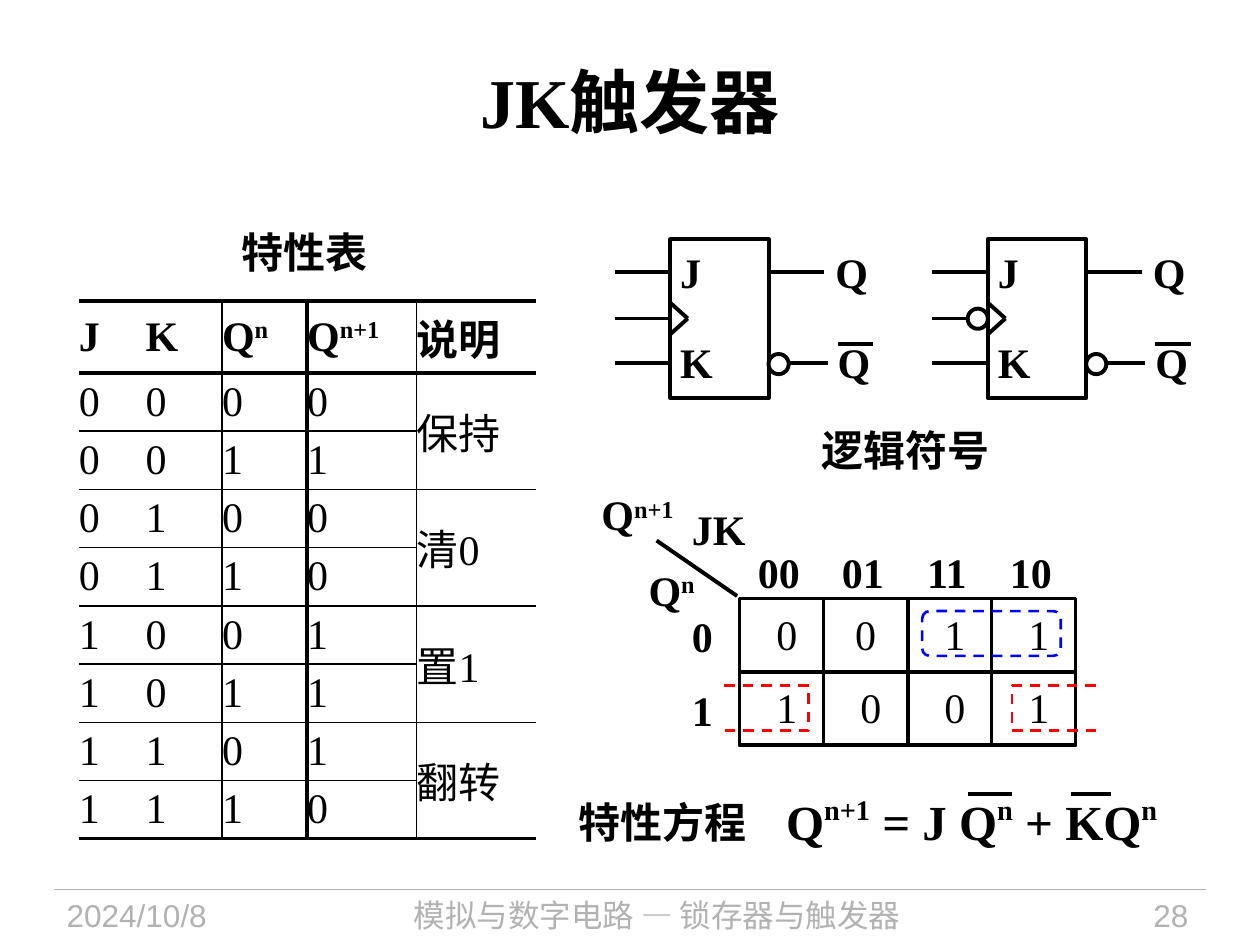
"""Build the JK flip-flop slide: truth table, logic symbols, Karnaugh map and equation."""
from lxml import etree
from pptx import Presentation
from pptx.dml.color import RGBColor
from pptx.enum import dml, shapes, text
from pptx.oxml import ns
from pptx.util import Pt

SERIF, SANS, CJK = "Times New Roman", "Arial", "Noto Sans CJK SC"
BLACK, GREY, BLUE, RED, WHITE = "000000", "B2B2B2", "0000FF", "FF0000", "FFFFFF"
LEFT, CENTER, RIGHT = text.PP_ALIGN.LEFT, text.PP_ALIGN.CENTER, text.PP_ALIGN.RIGHT
SHAPE = shapes.MSO_SHAPE
THIN, THICK = 1, 2.25

TITLE = "JK触发器"
HEADER = ["J", "K", "Q^n", "Q^n+1", "说明"]
STATES = ["0000", "0011", "0100", "0110", "1001", "1011", "1101", "1110"]
ACTIONS = ["保持", "清0", "置1", "翻转"]
COLUMN_WIDTHS = [38.1, 43.7, 48.6, 62.6, 68.3]
HEADER_HEIGHT, ROW_HEIGHT = 41, 33.3
COLUMN_EDGES = [None, None, THIN, THICK, THIN, None]

HEADINGS = [
    ("特性表", (124, 126, 100, 36)),
    ("逻辑符号", (450.7, 239, 133.2, 36)),
]
SYMBOLS = [(383, False), (564.5, True)]
MAP_X, MAP_Y, CELL_W, CELL_H = 422.6, 342, 48, 42
MAP_COLUMNS = ["00", "01", "11", "10"]
MAP_ROWS = [("0", [("0", 3), ("0", 0), ("1", 3), ("1", 3)]),
            ("1", [("1", 3), ("0", 3), ("0", 3), ("1", 3)])]
MAP_CORNER = [("JK", (388, 284.4, 45.4, 36)), ("Q^n", (362.9, 319, 41.8, 36)),
              ("Q^n+1", (334.8, 275.8, 59, 36))]
MAP_LOOPS = [(SHAPE.ROUNDED_RECTANGLE, (527, 349.2, 79.2, 25.6), BLUE, 0.167, 0),
             (SHAPE.RIGHT_BRACKET, (414, 391.7, 48.2, 25.6), RED, 0, 0),
             (SHAPE.RIGHT_BRACKET, (578.2, 391.7, 48.2, 25.6), RED, 0, 180)]
EQUATION = "Q^n+1^ = J Q^n^ + KQ^n"
EQUATION_BARS = [(553, 578.2), (612, 635)]
FOOTERS = [
    ("2024/10/8", (31, 508.3, 135, 31.7), SANS, LEFT),
    ("模拟与数字电路 — 锁存器与触发器", (172.8, 508.3, 405.4, 31.7), CJK, CENTER),
    ("28", (590.4, 508.3, 95.8, 31.7), SANS, RIGHT),
]


def rgb(value):
    """Turn a hex string into a colour."""
    return RGBColor.from_string(value)


def write(tf, words, size=24, font=SERIF, color=BLACK, bold=True, align=CENTER, raised=30):
    """Write one paragraph in which carets switch superscript on and off."""
    p = tf.paragraphs[0]
    p.alignment = align
    for i, piece in enumerate(words.split("^")):
        r = p.add_run()
        r.text = piece
        r.font.size, r.font.bold = Pt(size), bold
        r.font.color.rgb = rgb(color)
        r.font.name = font
        props = r._r.get_or_add_rPr()
        etree.SubElement(props, ns.qn("a:ea")).set("typeface", CJK)
        if i % 2:
            props.set("baseline", str(raised * 1000))


def label(s, words, box, wrap=False, **style):
    """Add a text box."""
    tf = s.shapes.add_textbox(*map(Pt, box)).text_frame
    tf.word_wrap = wrap
    write(tf, words, **style)


def line(s, x1, y1, x2, y2, color=BLACK, width=THICK):
    """Add a straight line without shadow."""
    c = s.shapes.add_connector(shapes.MSO_CONNECTOR.STRAIGHT, *map(Pt, (x1, y1, x2, y2)))
    c.line.color.rgb, c.line.width = rgb(color), Pt(width)
    etree.SubElement(c._element.spPr, ns.qn("a:effectLst"))


def outline(s, kind, box, color=BLACK, width=THICK, fill=None):
    """Add an outlined shape and return it."""
    sp = s.shapes.add_shape(kind, *map(Pt, box))
    sp.shadow.inherit = False
    sp.line.color.rgb, sp.line.width = rgb(color), Pt(width)
    if fill:
        sp.fill.solid()
        sp.fill.fore_color.rgb = rgb(fill)
    else:
        sp.fill.background()
    return sp


def set_borders(cell, **widths):
    """Set the cell's borders, where None hides one."""
    props = cell._tc.get_or_add_tcPr()
    for i, side in enumerate("LRTB"):
        width = widths[side]
        ln = etree.Element(ns.qn("a:ln" + side))
        props.insert(i, ln)
        if width is None:
            etree.SubElement(ln, ns.qn("a:noFill"))
        else:
            ln.set("w", str(Pt(width)))
            fill = etree.SubElement(ln, ns.qn("a:solidFill"))
            etree.SubElement(fill, ns.qn("a:srgbClr")).set("val", BLACK)


def draw_table(s):
    """Draw the characteristic table."""
    rows = [HEADER] + [[*bits, "" if i % 2 else ACTIONS[i // 2]] for i, bits in enumerate(STATES)]
    last = len(HEADER) - 1
    heights = [HEADER_HEIGHT] + [ROW_HEIGHT] * len(STATES)
    table = s.shapes.add_table(len(rows), len(HEADER), Pt(45.1), Pt(172.1),
                               Pt(sum(COLUMN_WIDTHS)), Pt(sum(heights))).table
    for column, width in zip(table.columns, COLUMN_WIDTHS):
        column.width = Pt(width)
    for row, height in zip(table.rows, heights):
        row.height = Pt(height)
    for top in range(1, len(rows), 2):
        table.cell(top, last).merge(table.cell(top + 1, last))
    for i, row in enumerate(rows):
        for j, words in enumerate(row):
            cell = table.cell(i, j)
            cell.fill.background()
            cell.margin_left = cell.margin_right = cell.margin_top = cell.margin_bottom = 0
            cell.vertical_anchor = text.MSO_ANCHOR.MIDDLE
            if words:
                write(cell.text_frame, words, bold=i == 0, align=LEFT)
            bottom = i + 2 if cell.is_merge_origin else i + 1
            edge = {n: THICK if n in (0, 1, len(rows)) else THIN for n in (i, bottom)}
            set_borders(cell, L=COLUMN_EDGES[j], R=COLUMN_EDGES[j + 1],
                        T=None if cell.is_spanned else edge[i], B=edge[bottom])


def draw_symbol(s, x, falling):
    """Draw one flip-flop symbol, with a bubble on a falling-edge clock."""
    j_y, clock_y, k_y, right = 155.5, 182, 207.4, x + 56.2
    outline(s, SHAPE.RECTANGLE, (x, 136.8, 56.2, 90.7))
    for y in (j_y, clock_y, k_y):
        line(s, x - 31.7, y, x, y)
    line(s, right, j_y, right + 31.7, j_y)
    line(s, right + 2, k_y, right + 33.7, k_y)
    for y in (clock_y - 9, clock_y + 9):
        line(s, x, y, x + 10, clock_y)
    line(s, x + 95.8, 196.6, x + 116, 196.6)
    for words, left, top in (("J", -1.4, 137.5), ("K", -1.4, 188.6)):
        label(s, words, (x + left, top, 28, 36), wrap=True, align=LEFT)
    for left, top in ((87.1, 137.5), (88.5, 188.6)):
        label(s, "Q", (x + left, top, 33.1, 36))
    bubbles = [(right, k_y - 5.1)] + [(x - 11.5, clock_y - 5.6)] * falling
    for left, top in bubbles:
        outline(s, SHAPE.OVAL, (left, top, 11.5, 11.5), fill=WHITE)


def draw_map(s):
    """Draw the Karnaugh map with its labels and loops."""
    width, height = CELL_W * len(MAP_COLUMNS), CELL_H * len(MAP_ROWS)
    outline(s, SHAPE.RECTANGLE, (MAP_X, MAP_Y, width, height))
    line(s, MAP_X, MAP_Y + CELL_H, MAP_X + width, MAP_Y + CELL_H)
    for j, words in enumerate(MAP_COLUMNS):
        x = MAP_X + j * CELL_W
        label(s, words, (x - 1.5, 308.5, CELL_W, 36))
        if j:
            line(s, x, MAP_Y, x, MAP_Y + height)
    for i, (name, values) in enumerate(MAP_ROWS):
        y = MAP_Y + i * CELL_H + 2
        label(s, name, (388, y + 1.5, 26.8, 36))
        for j, (value, nudge) in enumerate(values):
            label(s, value, (MAP_X + j * CELL_W + nudge, y, CELL_W, 36), bold=False)
    line(s, 375.2, 308.9, 421.2, 340.6)
    for words, box in MAP_CORNER:
        label(s, words, box)
    for kind, box, color, radius, turn in MAP_LOOPS:
        sp = outline(s, kind, box, color=color, width=1.5)
        sp.adjustments[0], sp.rotation = radius, turn
        sp.line.dash_style = dml.MSO_LINE.DASH


def main():
    """Assemble and save the slide."""
    prs = Presentation()
    prs.slide_width, prs.slide_height = Pt(720), Pt(540)
    s = prs.slides.add_slide(prs.slide_layouts[5])
    title = s.shapes.title
    title.left, title.top, title.width, title.height = map(Pt, (36, 12.2, 648, 90))
    title.text_frame.vertical_anchor = text.MSO_ANCHOR.MIDDLE
    write(title.text_frame, TITLE, size=40)
    line(s, 31, 508.3, 689, 508.3, color=GREY, width=0.75)
    for words, box, font, align in FOOTERS:
        label(s, words, box, wrap=True, size=18, font=font, color=GREY, bold=False, align=align)
    for words, box in HEADINGS:
        label(s, words, box, font=SANS)
    draw_table(s)
    for x, falling in SYMBOLS:
        draw_symbol(s, x, falling)
    draw_map(s)
    label(s, "特性方程", (323.3, 451.4, 113, 36.7), wrap=True, align=LEFT)
    label(s, EQUATION, (442.1, 448.6, 235.4, 41), wrap=True, size=28, align=LEFT, raised=40)
    for start, end in EQUATION_BARS:
        line(s, start, 453.6, end, 453.6)
    prs.save("out.pptx")


if __name__ == "__main__":
    main()
